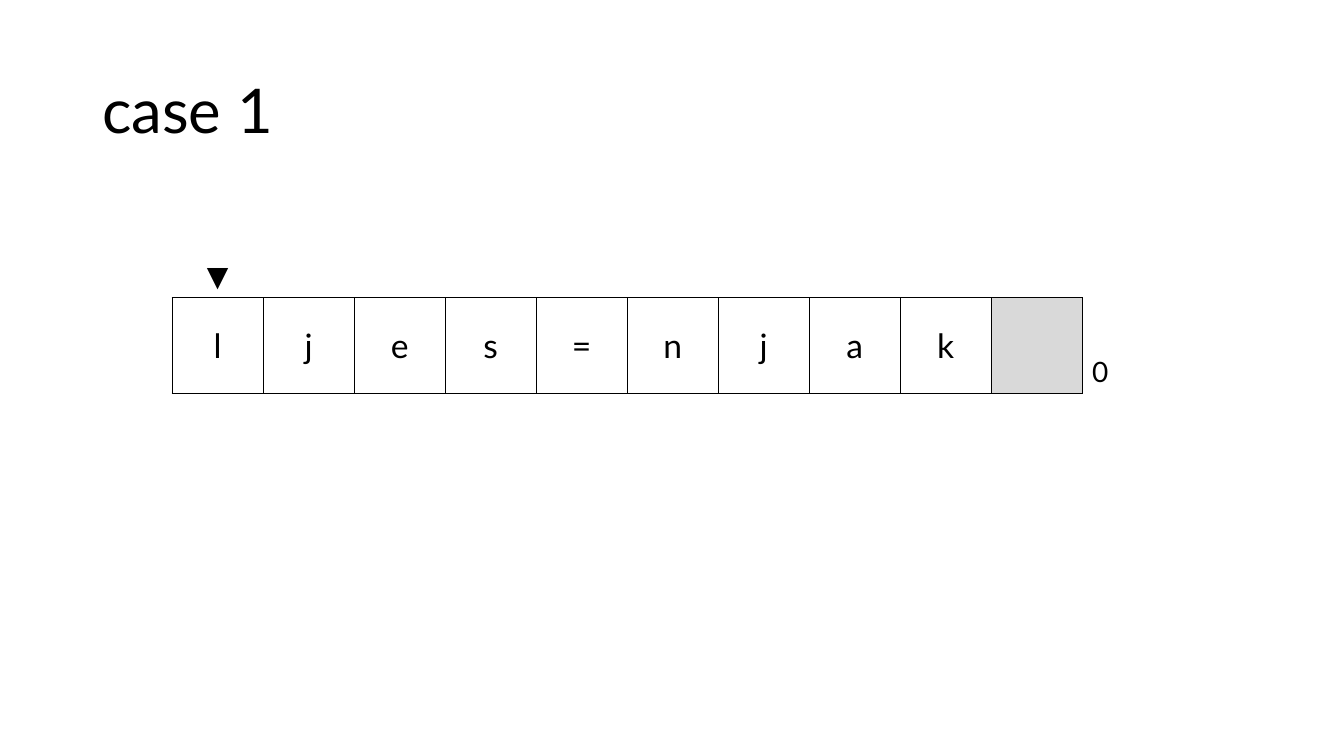
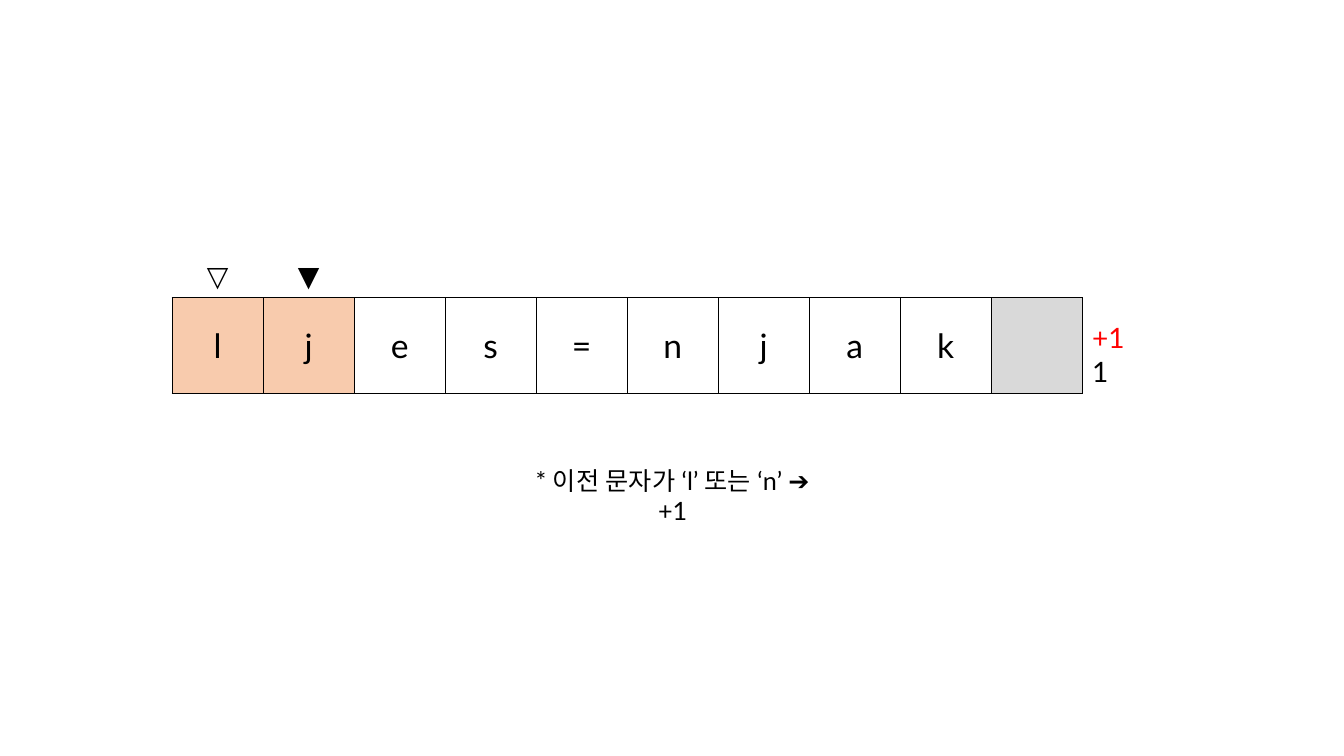
import dataclasses

import lxml.etree
import pptx
import pptx.dml.color
import pptx.enum.text
import pptx.oxml.ns
import pptx.util

Pt = pptx.util.Pt
Align = pptx.enum.text.PP_ALIGN
Anchor = pptx.enum.text.MSO_ANCHOR
qn = pptx.oxml.ns.qn


@dataclasses.dataclass(frozen=True)
class Theme:
    font: str = "Lato"
    ink: str = "000000"
    accent: str = "FF0000"
    matched: str = "F8CBAD"
    end_cell: str = "D9D9D9"
    title_size: int = 44
    letter_size: int = 24
    marker_size: int = 20
    note_size: int = 18
    border_width: int = 1


THEME = Theme()
LETTERS = "ljes=njak"
COLUMN_WIDTH = 65
ROW_HEIGHTS = (29.5, 68.5)


def rgb(value):
    return pptx.dml.color.RGBColor.from_string(value)


def write(para, text, size=THEME.note_size, color=THEME.ink, align=Align.LEFT):
    """Write one formatted run into a paragraph."""
    para.alignment = align
    span = para.add_run()
    span.text = text
    span.font.size = Pt(size)
    span.font.color.rgb = rgb(color)
    span.font.name = THEME.font
    # East Asian text uses the same font
    east_asian = lxml.etree.SubElement(span.font._element, qn("a:ea"))
    east_asian.set("typeface", THEME.font)


def add_text(page, text, left, top, width, height, anchor=Anchor.TOP,
             line_spacing=1.0, **text_format):
    box = page.shapes.add_textbox(Pt(left), Pt(top), Pt(width), Pt(height))
    frame = box.text_frame
    frame.word_wrap = True
    frame.vertical_anchor = anchor
    para = frame.paragraphs[0]
    para.line_spacing = line_spacing
    write(para, text, **text_format)


def add_title(page, text):
    add_text(page, text, 66, 29, 828, 104, anchor=Anchor.MIDDLE,
             line_spacing=0.9, size=THEME.title_size)


def set_borders(cell, drawn_sides):
    """Draw the named sides (L, R, T, B) and hide the others."""
    properties = cell._tc.get_or_add_tcPr()
    for index, side in enumerate("LRTB"):
        line = lxml.etree.Element(qn("a:ln" + side))
        line.set("w", str(Pt(THEME.border_width)))
        if side in drawn_sides:
            fill = lxml.etree.SubElement(line, qn("a:solidFill"))
            lxml.etree.SubElement(fill, qn("a:srgbClr")).set("val", THEME.ink)
        else:
            lxml.etree.SubElement(line, qn("a:noFill"))
        properties.insert(index, line)


def style_cell(cell, borders, fill=None, anchor=Anchor.BOTTOM):
    cell.vertical_anchor = anchor
    if fill:
        cell.fill.solid()
        cell.fill.fore_color.rgb = rgb(fill)
    else:
        cell.fill.background()
    set_borders(cell, borders)


def add_letter_strip(page, markers, count, matched=0):
    """Markers above the letters, an end cell, and the count at the right."""
    end_column = len(LETTERS)
    columns = end_column + 2
    table = page.shapes.add_table(
        2, columns, Pt(123), Pt(181.5),
        Pt(columns * COLUMN_WIDTH), Pt(sum(ROW_HEIGHTS))).table
    table.first_row = False
    table.horz_banding = False
    for column in table.columns:
        column.width = Pt(COLUMN_WIDTH)
    for row, height in zip(table.rows, ROW_HEIGHTS):
        row.height = Pt(height)

    # Marker row
    for index in range(columns):
        style_cell(table.cell(0, index), "B" if index <= end_column else "")
    for index, marker in enumerate(markers):
        write(table.cell(0, index).text_frame.paragraphs[0], marker,
              size=THEME.marker_size, align=Align.CENTER)

    # Letters and end cell
    for index, letter in enumerate(LETTERS):
        cell = table.cell(1, index)
        style_cell(cell, "LRTB", anchor=Anchor.MIDDLE,
                   fill=THEME.matched if index < matched else None)
        write(cell.text_frame.paragraphs[0], letter,
              size=THEME.letter_size, align=Align.CENTER)
    style_cell(table.cell(1, end_column), "LRTB", fill=THEME.end_cell)

    # Count
    count_cell = table.cell(1, end_column + 1)
    style_cell(count_cell, "L")
    frame = count_cell.text_frame
    for index, (text, color) in enumerate(count):
        para = frame.add_paragraph() if index else frame.paragraphs[0]
        write(para, text, size=THEME.marker_size, color=color)


def main():
    deck = pptx.Presentation()
    deck.slide_width, deck.slide_height = Pt(960), Pt(540)
    blank = deck.slide_layouts[6]

    # Start of the case
    page = deck.slides.add_slide(blank)
    add_title(page, "case 1")
    add_letter_strip(page, "▼", [("0", THEME.ink)])

    # First matched pair
    page = deck.slides.add_slide(blank)
    add_letter_strip(page, "▽▼", [("+1", THEME.accent), ("1", THEME.ink)],
                     matched=2)
    add_text(page, "* 이전 문자가 ‘l’ 또는 ‘n’ ➔ +1", 366, 329, 229, 51,
             size=THEME.note_size, align=Align.CENTER)

    deck.save("out.pptx")


if __name__ == "__main__":
    main()
